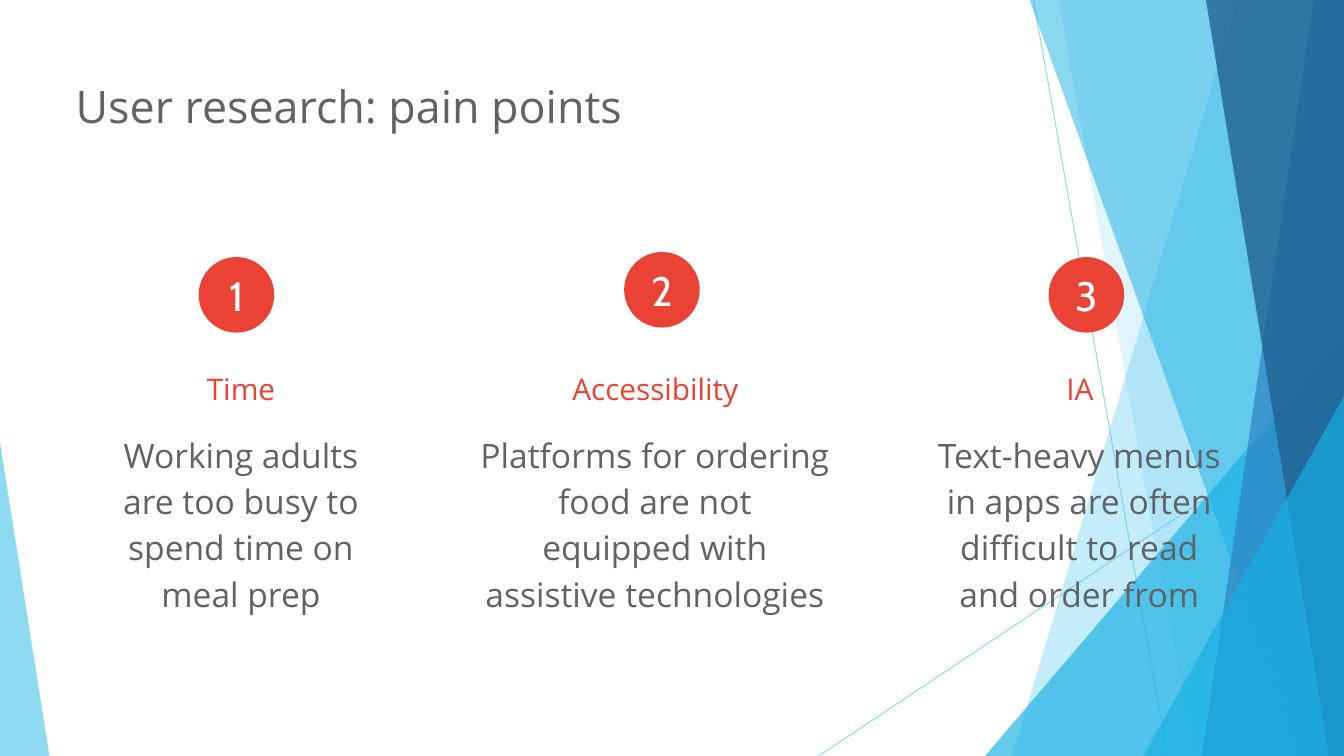
import pptx
import pptx.dml.color
import pptx.enum.shapes
import pptx.enum.text
import pptx.oxml
import pptx.oxml.ns
import pptx.util
from lxml import etree

Inches = pptx.util.Inches
SHAPES = pptx.enum.shapes.MSO_SHAPE
ALIGN = pptx.enum.text.PP_ALIGN
WIDTH, HEIGHT = 13.33, 7.5

COLORS = {
    "sky": "5FCBEF",
    "cyan": "17B0E4",
    "blue": "2E83C3",
    "navy": "226292",
    "red": "EA4335",
    "gray": "5F6368",
    "white": "FFFFFF",
}


class SlideStyle:
    text_font = "Open Sans"
    number_font = "Cabin"

    def __init__(self, slide):
        self.slide = slide

    def color(self, name):
        return pptx.dml.color.RGBColor.from_string(COLORS[name])

    def set_opacity(self, shape, percent):
        for color in shape.element.spPr.xpath(".//a:srgbClr"):
            alpha = etree.SubElement(color, pptx.oxml.ns.qn("a:alpha"))
            alpha.set("val", str(percent * 1000))

    def paint(self, shape, color, opacity=100):
        shape.shadow.inherit = False
        shape.fill.solid()
        shape.fill.fore_color.rgb = self.color(color)
        shape.line.fill.background()
        if opacity < 100:
            self.set_opacity(shape, opacity)

    def ray(self, start, end):
        line = self.slide.shapes.add_connector(
            pptx.enum.shapes.MSO_CONNECTOR.STRAIGHT,
            *(Inches(v) for v in (*start, *end)))
        line.line.color.rgb = self.color("sky")
        line.line.width = pptx.util.Pt(0.75)
        self.set_opacity(line, 70)
        etree.SubElement(line.element.spPr, pptx.oxml.ns.qn("a:effectLst"))

    def band(self, top_x, bottom_x, color, opacity):
        """Fill from a slanted left edge to the right edge of the slide."""
        top = -0.01
        outline = [(WIDTH, top), (WIDTH, HEIGHT), (bottom_x, HEIGHT)]
        builder = self.slide.shapes.build_freeform(Inches(top_x), Inches(top))
        builder.add_line_segments([(Inches(x), Inches(y)) for x, y in outline])
        self.paint(builder.convert_to_shape(), color, opacity)

    def corner(self, left, top, width, tip, color, opacity):
        """Triangle standing on the bottom edge of the slide."""
        triangle = self.slide.shapes.add_shape(
            SHAPES.ISOSCELES_TRIANGLE, Inches(left), Inches(top),
            Inches(width), Inches(HEIGHT - top))
        triangle.adjustments[0] = tip
        self.paint(triangle, color, opacity)

    def set_text(self, frame, text, size, color, font, align, spacing=None):
        frame.text = text
        paragraph = frame.paragraphs[0]
        paragraph.alignment = align
        if spacing:
            paragraph.line_spacing = spacing
        run_font = paragraph.runs[0].font
        run_font.size = pptx.util.Pt(size)
        run_font.name = font
        run_font.color.rgb = self.color(color)

    def text(self, box, text, size, color, align=ALIGN.CENTER, spacing=None):
        frame = self.slide.shapes.add_textbox(*(Inches(v) for v in box)).text_frame
        frame.word_wrap = True
        frame.auto_size = pptx.enum.text.MSO_AUTO_SIZE.SHAPE_TO_FIT_TEXT
        frame.margin_left = 0
        frame.margin_top = frame.margin_right = frame.margin_bottom = Inches(0.13)
        self.set_text(frame, text, size, color, self.text_font, align, spacing)

    def badge(self, left, top, number):
        circle = self.slide.shapes.add_shape(
            SHAPES.OVAL, Inches(left), Inches(top), Inches(0.75), Inches(0.75))
        self.paint(circle, "red")
        frame = circle.text_frame
        frame.margin_left = frame.margin_right = 0
        frame.margin_top = frame.margin_bottom = 0
        frame.vertical_anchor = pptx.enum.text.MSO_ANCHOR.MIDDLE
        self.set_text(frame, str(number), 29.3, "white", self.number_font, ALIGN.CENTER)


def main():
    deck = pptx.Presentation()
    deck.slide_width, deck.slide_height = Inches(WIDTH), Inches(HEIGHT)
    style = SlideStyle(deck.slides.add_slide(deck.slide_layouts[6]))

    # Faceted background
    style.ray((10.25, 0), (11.58, HEIGHT))
    style.ray((WIDTH, 4.03), (8.12, HEIGHT))
    style.band(12.28, 10.04, "sky", 36)
    style.band(10.5, 11.83, "sky", 20)
    style.corner(9.77, 3.33, 3.56, 1, "cyan", 66)
    style.band(10.21, 12.91, "cyan", 50)
    style.band(13.03, 11.92, "blue", 70)
    style.band(11.96, 13.18, "navy", 80)
    style.corner(11.34, 3.93, 1.99, 1, "cyan", 66)
    style.corner(0, 4.39, 0.49, 0, "sky", 70)

    # Title
    style.text((0.75, 0.65, 8.98, 0.81), "User research: pain points",
               32, "gray", ALIGN.LEFT)

    # Pain points: heading, heading left, description, its left, width and
    # height, badge left and top
    pain_points = [
        ("Time", 1.09,
         "Working adults are too busy to spend time on meal prep",
         1.09, 2.73, 2.13, 1.97, 2.55),
        ("Accessibility", 5.2,
         "Platforms for ordering food are not equipped with assistive technologies",
         4.76, 3.6, 2.13, 6.19, 2.5),
        ("IA", 9.41,
         "Text-heavy menus in apps are often difficult to read and order from",
         9.3, 2.94, 2.59, 10.4, 2.55),
    ]
    for number, point in enumerate(pain_points, 1):
        heading, heading_left, description, left, width, height, *badge_at = point
        style.text((heading_left, 3.37, 2.73, 0.81), heading, 21.3, "red", spacing=1.5)
        style.text((left, 4.12, width, height), description, 24, "gray", spacing=1.15)
        style.badge(*badge_at, number)

    deck.save("out.pptx")


if __name__ == "__main__":
    main()
